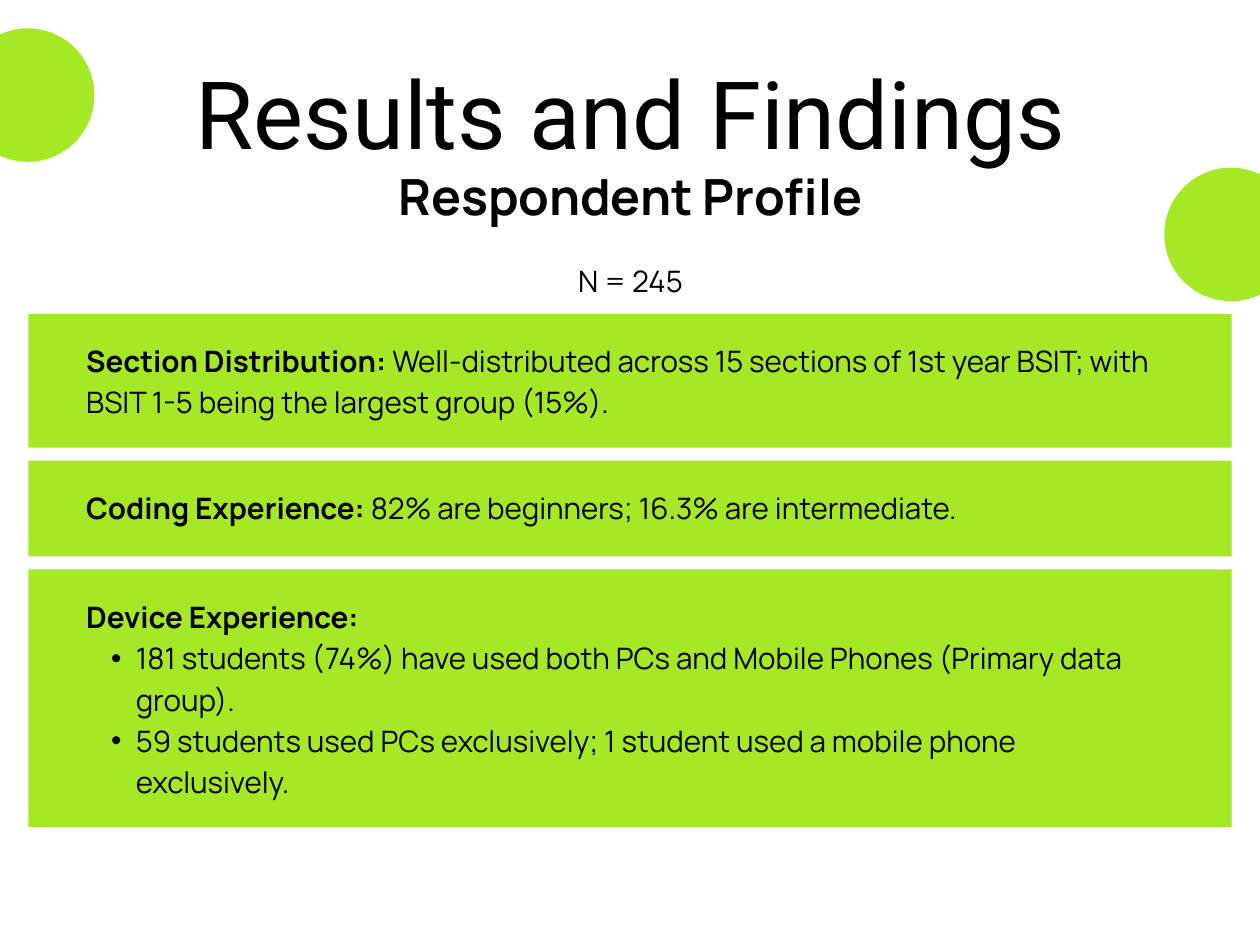
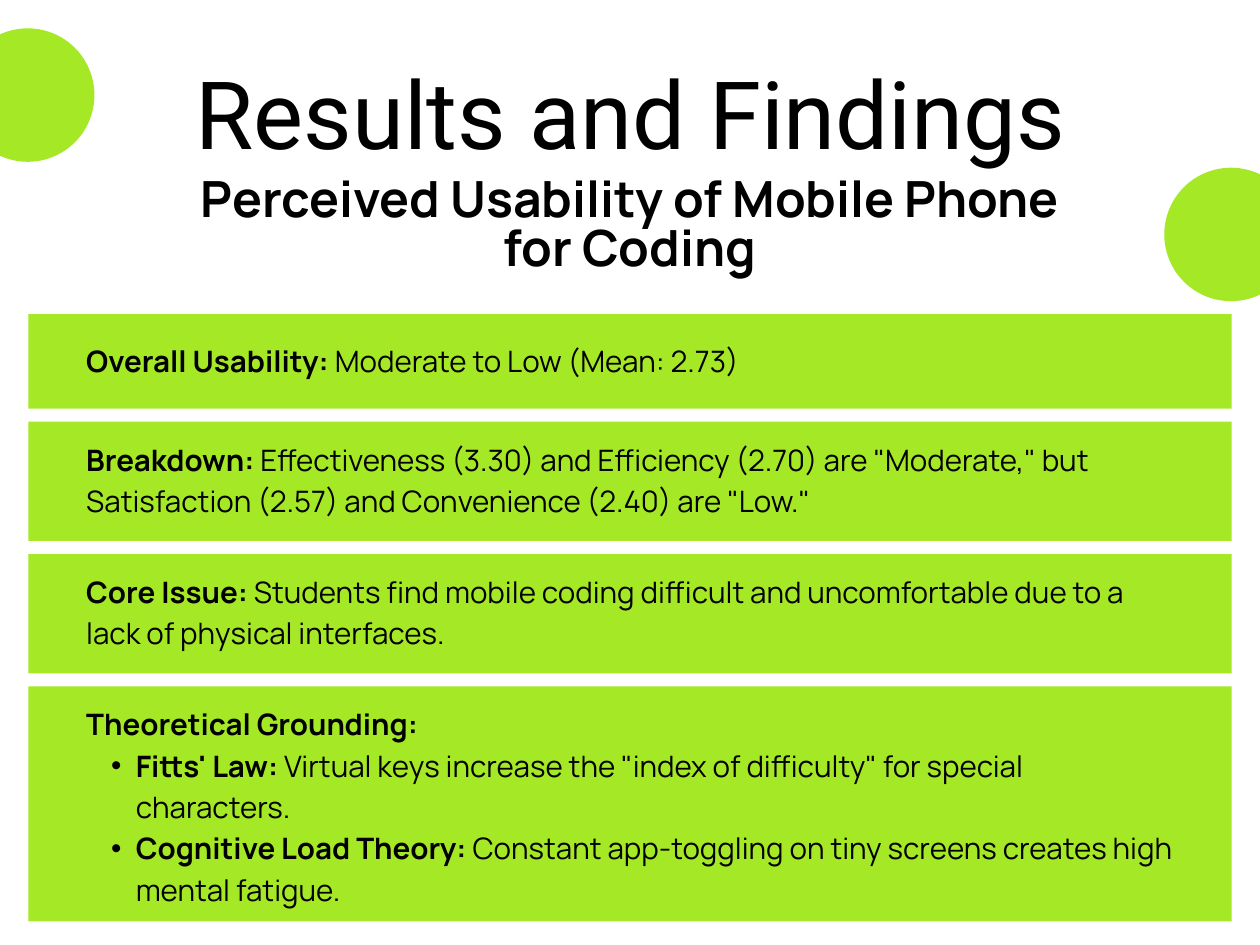
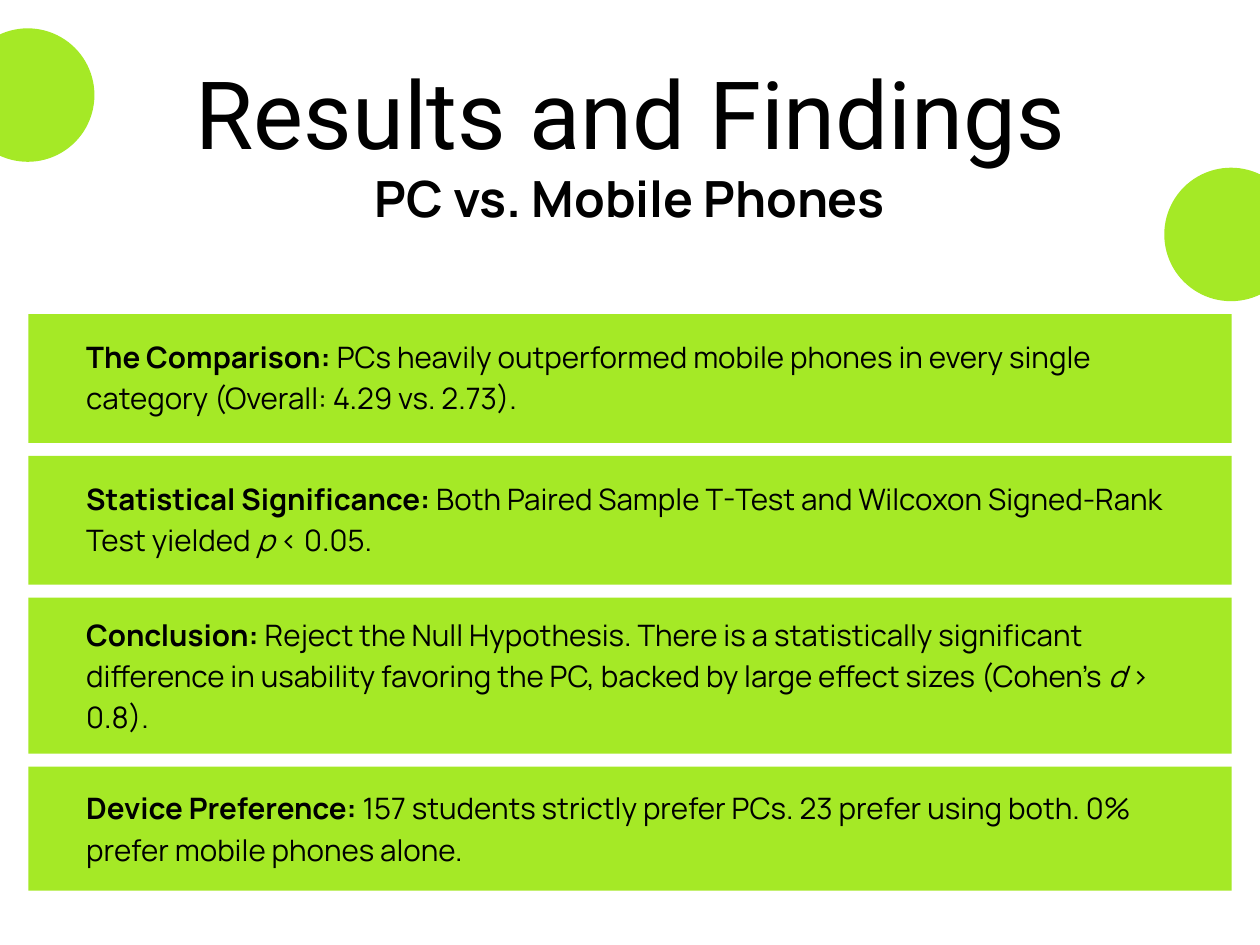
from lxml import etree
from pptx import Presentation
from pptx.dml.color import RGBColor
from pptx.enum import shapes, text
from pptx.oxml.ns import qn
from pptx.util import Inches, Pt

# Shared look
LIME, BLACK = "A5E926", "000000"
SANS, HEAD = "Manrope", "Roboto"
CARD = (0.24, 2.66, 10.19)  # left, top of the first card, width
GAP, INSET, LINE = 0.11, 0.49, 0.35
DOTS = [(-0.33, 0.24), (9.86, 1.42)]
DOT = 1.13


def paint(obj, color):
    """Give a fill or font a hex colour."""
    if hasattr(obj, "solid"):
        obj.solid()
        obj.fore_color.rgb = RGBColor.from_string(color)
    else:
        obj.color.rgb = RGBColor.from_string(color)


def place(shape, box):
    shape.left, shape.top, shape.width, shape.height = map(Inches, box)


def add_form(slide, kind, box):
    form = slide.shapes.add_shape(kind, *map(Inches, box))
    form.shadow.inherit = False
    paint(form.fill, LIME)
    form.line.fill.background()


def add_bullet(para):
    para.level = 1
    props = para._p.get_or_add_pPr()
    props.set("marL", str(Inches(0.42)))
    props.set("indent", str(Inches(-0.21)))
    etree.SubElement(props, qn("a:buFont")).set("typeface", "Arial")
    etree.SubElement(props, qn("a:buChar")).set("char", "•")


def write(shape, paras, size, space, font=SANS, center=False):
    """Fill a frame; each paragraph is a list of (words, style) runs."""
    frame = shape.text_frame
    frame.word_wrap = True
    frame.auto_size = text.MSO_AUTO_SIZE.SHAPE_TO_FIT_TEXT
    frame.vertical_anchor = text.MSO_ANCHOR.TOP
    frame.margin_left = frame.margin_right = 0
    frame.margin_top = frame.margin_bottom = 0
    for num, runs in enumerate(paras):
        para = frame.add_paragraph() if num else frame.paragraphs[0]
        para.line_spacing = Pt(space)
        para.alignment = text.PP_ALIGN.CENTER if center else text.PP_ALIGN.LEFT
        if num:
            add_bullet(para)
        for words, style in runs:
            run = para.add_run()
            run.text = words
            run.font.name, run.font.size = font, Pt(size)
            run.font.bold, run.font.italic = style == "b", style == "i"
            paint(run.font, BLACK)


def add_text(slide, box, paras, size, space, center=False):
    label = slide.shapes.add_textbox(*map(Inches, box))
    write(label, paras, size, space, center=center)


def add_head(slide, topic, box):
    """Title, topic line and the two side circles."""
    title = slide.shapes.title
    place(title, (1.61, 0.63, 7.46, 0.84))
    write(title, [[("Results and Findings", "")]], 57.4, 57.4, HEAD, True)
    for left, top in DOTS:
        add_form(slide, shapes.MSO_SHAPE.OVAL, (left, top, DOT, DOT))
    add_text(slide, box, [[(topic, "b")]], 30.4, 30.4, True)


def add_card(slide, box, pad, lines, paras):
    """Lime card with its text inset from the left and top."""
    left, top, width, _ = box
    add_form(slide, shapes.MSO_SHAPE.RECTANGLE, box)
    inner = (left + INSET, top + pad, width - 2 * INSET, lines * LINE)
    add_text(slide, inner, paras, 18, 25.2)


def add_page(prs, topic, box, cards):
    slide = prs.slides.add_slide(prs.slide_layouts[5])
    add_head(slide, topic, box)
    left, top, width = CARD
    for high, pad, lines, paras in cards:
        add_card(slide, (left, top, width, high), pad, lines, paras)
        top += high + GAP
    return slide


# Cards: height, text offset, text lines, paragraphs
PROFILE = [
    (1.13, 0.19, 2, [[
        ("Section Distribution:", "b"),
        (" Well-distributed across 15 sections of 1st year BSIT; with "
         "BSIT 1-5 being the largest group (15%).", "")]]),
    (0.81, 0.2, 1, [[
        ("Coding Experience: ", "b"),
        ("82% are beginners; 16.3% are intermediate.", "")]]),
    (2.18, 0.2, 5, [
        [("Device Experience:", "b")],
        [("181 students (74%) have used both PCs and Mobile Phones "
          "(Primary data group).", "")],
        [("59 students used PCs exclusively; 1 student used a mobile phone "
          "exclusively.", "")]]),
]
USABLE = [
    (0.8, 0.19, 1, [[
        ("Overall Usability: ", "b"),
        ("Moderate to Low (Mean: 2.73)", "")]]),
    (1.01, 0.12, 2, [[
        ("Breakdown: ", "b"),
        ('Effectiveness (3.30) and Efficiency (2.70) are "Moderate," but '
         'Satisfaction (2.57) and Convenience (2.40) are "Low."', "")]]),
    (1.01, 0.12, 2, [[
        ("Core Issue: ", "b"),
        ("Students find mobile coding difficult and uncomfortable due to a "
         "lack of physical interfaces.", "")]]),
    (1.99, 0.12, 5, [
        [("Theoretical Grounding:", "b")],
        [("Fitts' Law: ", "b"),
         ('Virtual keys increase the "index of difficulty" for special '
          "characters.", "")],
        [("Cognitive Load Theory: ", "b"),
         ("Constant app-toggling on tiny screens creates high mental "
          "fatigue.", "")]]),
]
VERSUS = [
    (1.09, 0.16, 2, [[
        ("The Comparison: ", "b"),
        ("PCs heavily outperformed mobile phones in every single category "
         "(Overall: 4.29 vs. 2.73).", "")]]),
    (1.09, 0.16, 2, [[
        ("Statistical Significance: ", "b"),
        ("Both Paired Sample T-Test and Wilcoxon Signed-Rank Test yielded ", ""),
        ("p", "i"), (" < 0.05.", "")]]),
    (1.32, 0.11, 3, [[
        ("Conclusion: ", "b"),
        ("Reject the Null Hypothesis. There is a statistically significant "
         "difference in usability favoring the PC, backed by large effect "
         "sizes (Cohen's ", ""),
        ("d", "i"), (" > 0.8).", "")]]),
    (1.05, 0.15, 2, [[
        ("Device Preference: ", "b"),
        ("157 students strictly prefer PCs. 23 prefer using both. 0% prefer "
         "mobile phones alone.", "")]]),
]


def main():
    prs = Presentation()
    prs.slide_width, prs.slide_height = Inches(10.67), Inches(8)
    first = add_page(prs, "Respondent Profile", (1.61, 1.49, 7.46, 0.48), PROFILE)
    add_text(first, (4.76, 2.18, 1.16, 0.36), [[("N = 245", "")]], 18, 25.2, True)
    add_page(prs, "Perceived Usability of Mobile Phone for Coding",
             (1.43, 1.5, 7.81, 0.9), USABLE)
    add_page(prs, "PC vs. Mobile Phones", (1.43, 1.5, 7.81, 0.48), VERSUS)
    prs.save("out.pptx")


if __name__ == "__main__":
    main()
